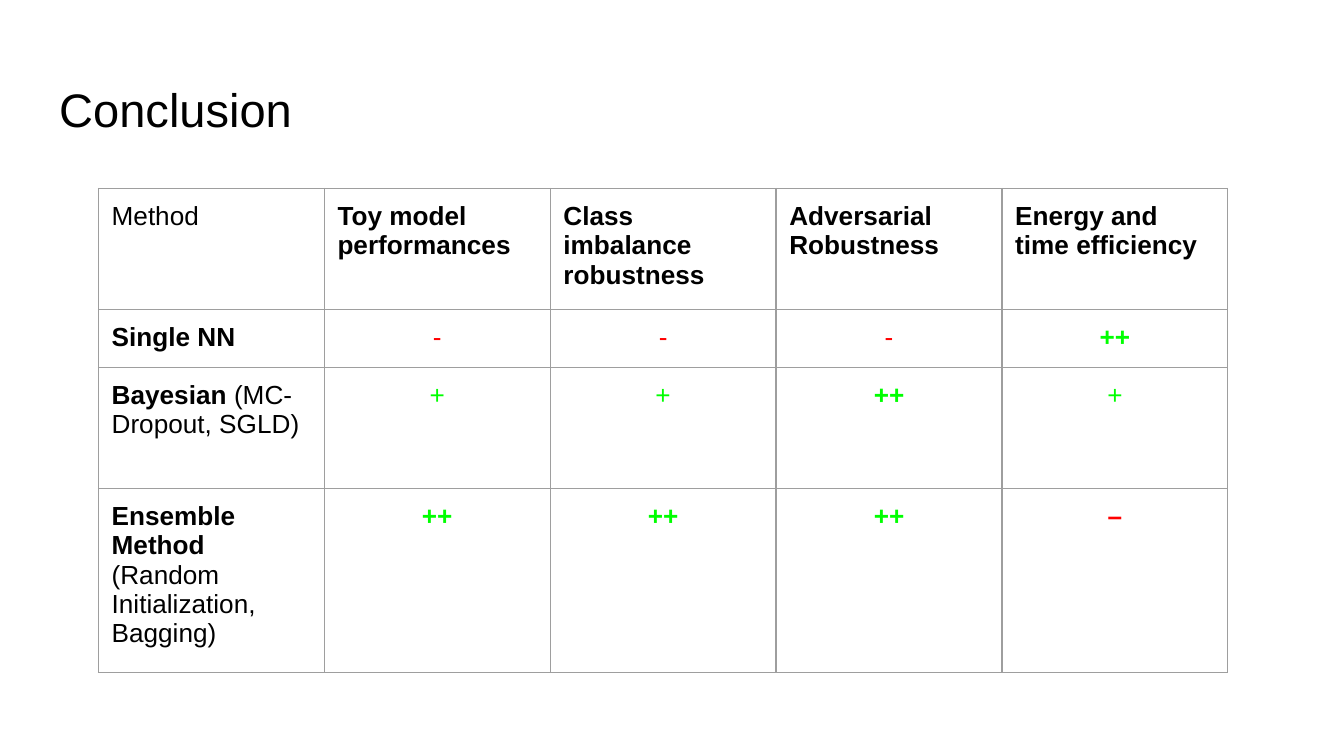
from lxml import etree
from pptx import Presentation
from pptx.dml.color import RGBColor
from pptx.enum.text import MSO_ANCHOR, PP_ALIGN
from pptx.oxml.ns import qn
from pptx.util import Cm, Pt

CENTER, LEFT = PP_ALIGN.CENTER, PP_ALIGN.LEFT
MIDDLE, TOP = MSO_ANCHOR.MIDDLE, MSO_ANCHOR.TOP
BLACK = RGBColor(0x00, 0x00, 0x00)
RED = RGBColor(0xFF, 0x00, 0x00)
GREEN = RGBColor(0x00, 0xFF, 0x00)
GRAY = RGBColor(0x9E, 0x9E, 0x9E)
FONT = "Arial"
PADDING = Cm(0.25)

TITLE = "Conclusion"
CRITERIA = [
    "Toy model performances",
    "Class imbalance robustness",
    "Adversarial Robustness",
    "Energy and time efficiency",
]
METHODS = [
    ("Single NN", "", ["-", "-", "-", "++"]),
    ("Bayesian ", "(MC-Dropout, SGLD)", ["+", "+", "++", "+"]),
    ("Ensemble Method ", "(Random Initialization, Bagging)", ["++", "++", "++", "–"]),
]
STRONG_RATINGS = ("++", "–")
COLUMN_WIDTH = Cm(4.27)
ROW_HEIGHTS = [Cm(2.29), Cm(1.09), Cm(2.29), Cm(3.48)]


def write(frame, parts, size, color=BLACK, align=LEFT):
    frame.word_wrap = True
    frame.margin_left = frame.margin_right = PADDING
    frame.margin_top = frame.margin_bottom = PADDING
    paragraph = frame.paragraphs[0]
    paragraph.alignment = align
    paragraph.font.name = FONT
    paragraph.font.size = Pt(size)
    paragraph.font.color.rgb = color
    for text, bold in parts:
        run = paragraph.add_run()
        run.text = text
        run.font.bold = bold


def add_borders(cell):
    properties = cell._tc.get_or_add_tcPr()
    for position, side in enumerate(("a:lnL", "a:lnR", "a:lnT", "a:lnB")):
        line = etree.Element(qn(side), w=str(Pt(0.75)))
        fill = etree.SubElement(line, qn("a:solidFill"))
        etree.SubElement(fill, qn("a:srgbClr"), val=str(GRAY))
        properties.insert(position, line)


def fill_cell(cell, parts, color=BLACK, align=LEFT):
    write(cell.text_frame, parts, 14, color, align)
    cell.margin_left = cell.margin_right = PADDING
    cell.margin_top = cell.margin_bottom = PADDING
    cell.vertical_anchor = TOP
    cell.fill.background()
    add_borders(cell)


def add_title(slide):
    frame = slide.shapes.add_textbox(Cm(0.87), Cm(1.25), Cm(23.67), Cm(1.6)).text_frame
    frame.vertical_anchor = MIDDLE
    write(frame, [(TITLE, False)], 25.2)


def add_comparison(slide):
    columns = len(CRITERIA) + 1
    table = slide.shapes.add_table(
        len(ROW_HEIGHTS), columns, Cm(1.86), Cm(3.56),
        COLUMN_WIDTH * columns, sum(ROW_HEIGHTS),
    ).table
    table.first_row = table.horz_banding = False
    for column in table.columns:
        column.width = COLUMN_WIDTH
    for row, height in zip(table.rows, ROW_HEIGHTS):
        row.height = height

    fill_cell(table.cell(0, 0), [("Method", False)])
    for column, criterion in enumerate(CRITERIA, 1):
        fill_cell(table.cell(0, column), [(criterion, True)])
    for row, (method, variants, ratings) in enumerate(METHODS, 1):
        parts = [(method, True)] + ([(variants, False)] if variants else [])
        fill_cell(table.cell(row, 0), parts)
        for column, rating in enumerate(ratings, 1):
            color = GREEN if "+" in rating else RED
            fill_cell(table.cell(row, column), [(rating, rating in STRONG_RATINGS)], color, CENTER)


def main():
    deck = Presentation()
    deck.slide_width, deck.slide_height = Cm(25.4), Cm(14.29)
    slide = deck.slides.add_slide(deck.slide_layouts[6])
    add_title(slide)
    add_comparison(slide)
    deck.save("out.pptx")


if __name__ == "__main__":
    main()
